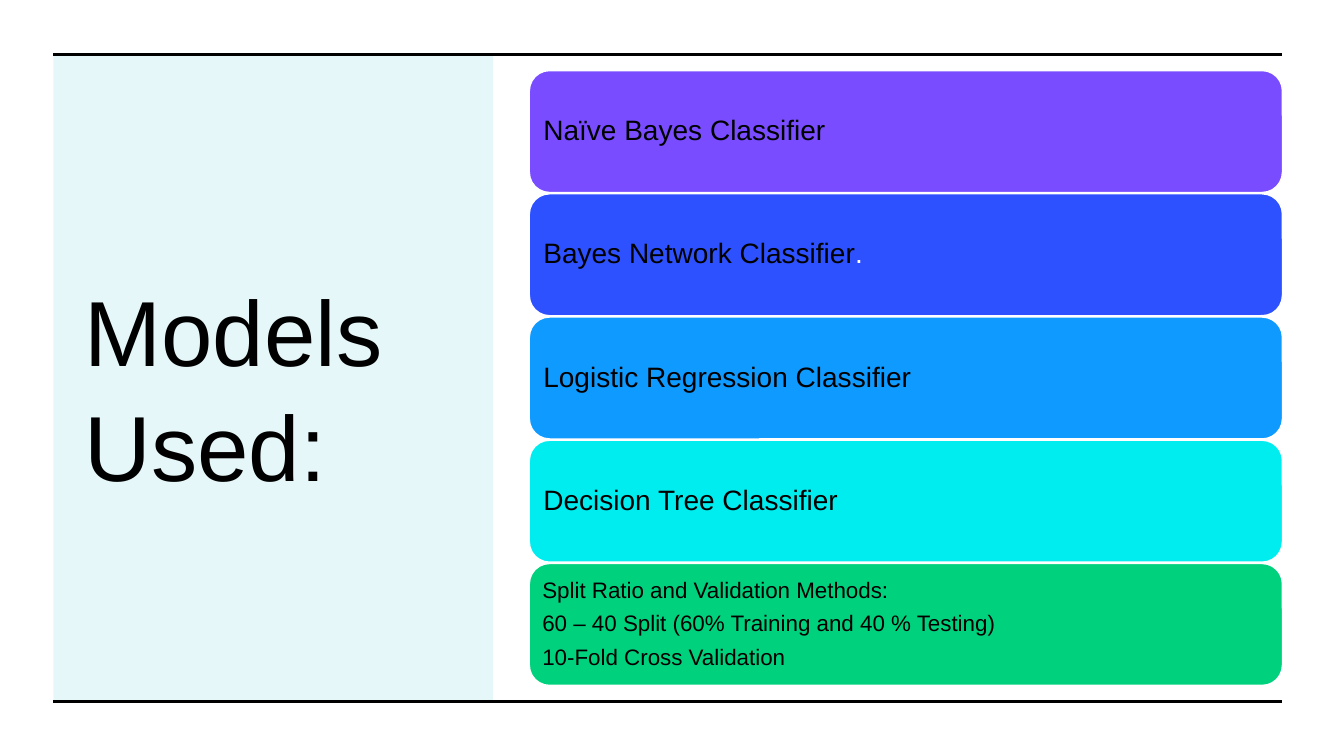
import pptx
import pptx.dml.color
import pptx.enum.shapes
import pptx.enum.text
import pptx.oxml
import pptx.oxml.ns
import pptx.util

COLORS = {
    "ink": "000000", "white": "FFFFFF", "panel": "00BAC8",
    "violet": "794DFF", "blue": "2E51FF", "sky": "0F9AFF",
    "cyan": "00EDF0", "green": "00D17D",
}
FONT = "Arial"
WIDTH, HEIGHT = 13.33, 7.5

# Page frame and card grid, in inches
LEFT, RIGHT, TOP, BOTTOM = 0.53, 12.72, 0.54, 6.96
PANEL_W = 4.36
CARD_X, CARD_Y, CARD_H, ROW_PITCH = 5.25, 0.7, 1.21, 1.2225

# Each card: fill, text size, inset, paragraphs made of (text, colour) runs
CARDS = [
    ("violet", 20, 0.08, [[("Naïve Bayes Classifier", "ink")]]),
    ("blue", 20, 0.08, [[("Bayes Network Classifier", "ink"), (".", "white")]]),
    ("sky", 20, 0.08, [[("Logistic Regression Classifier", "ink")]]),
    ("cyan", 20, 0.08, [[("Decision Tree Classifier", "ink")]]),
    ("green", 16, 0.07, [
        [("Split Ratio and Validation Methods:", "ink")],
        [("60 – 40 Split (60% Training and 40 % Testing)", "ink")],
        [("10-Fold Cross Validation", "ink")],
    ]),
]


def inches(*values):
    return [pptx.util.Inches(v) for v in values]


def rgb(name):
    return pptx.dml.color.RGBColor.from_string(COLORS[name])


def write(tf, paragraphs, size, inset=0.1, spacing=0.9, after=0):
    """Fill a text frame with left-aligned, vertically centred paragraphs."""
    tf.word_wrap = True
    tf.vertical_anchor = pptx.enum.text.MSO_ANCHOR.MIDDLE
    tf.margin_left = tf.margin_right = pptx.util.Inches(inset)
    tf.margin_top = tf.margin_bottom = pptx.util.Inches(inset)
    for i, runs in enumerate(paragraphs):
        p = tf.add_paragraph() if i else tf.paragraphs[0]
        p.alignment = pptx.enum.text.PP_ALIGN.LEFT
        p.line_spacing = spacing
        if i < len(paragraphs) - 1:
            p.space_after = pptx.util.Pt(after)
        for text, color in runs:
            # A line feed inside a run becomes a line break
            for j, line in enumerate(text.split("\n")):
                if j:
                    p.add_line_break()
                r = p.add_run()
                r.text = line
                r.font.name = FONT
                r.font.size = pptx.util.Pt(size)
                r.font.color.rgb = rgb(color)


def add_block(shapes, kind, box, fill, alpha=None, outline=None):
    sp = shapes.add_shape(kind, *inches(*box))
    sp.shadow.inherit = False
    sp.fill.solid()
    sp.fill.fore_color.rgb = rgb(fill)
    if alpha is not None:
        clr = sp.fill._xPr.find(".//" + pptx.oxml.ns.qn("a:srgbClr"))
        etree_alpha = pptx.oxml.parse_xml(
            f'<a:alpha {pptx.oxml.ns.nsdecls("a")} val="{alpha * 1000}"/>')
        clr.append(etree_alpha)
    if outline:
        sp.line.color.rgb = rgb(outline)
        sp.line.width = pptx.util.Pt(1)
    else:
        sp.line.fill.background()
    return sp


def add_rule(s, y):
    line = s.shapes.add_connector(
        pptx.enum.shapes.MSO_CONNECTOR.STRAIGHT, *inches(LEFT, y, RIGHT, y))
    line.line.color.rgb = rgb("ink")
    line.line.width = pptx.util.Pt(2.25)
    line._element.spPr.append(pptx.oxml.parse_xml(
        f'<a:effectLst {pptx.oxml.ns.nsdecls("a")}/>'))


def main():
    prs = pptx.Presentation()
    prs.slide_width, prs.slide_height = inches(WIDTH, HEIGHT)
    s = prs.slides.add_slide(prs.slide_layouts[6])
    kinds = pptx.enum.shapes.MSO_SHAPE

    # Tinted panel with the title
    add_block(s.shapes, kinds.RECTANGLE,
              (LEFT, TOP, PANEL_W, BOTTOM - TOP), "panel", alpha=10)
    title = s.shapes.add_textbox(*inches(0.74, 1.07, 3.89, 5.5))
    write(title.text_frame, [[("Models\nUsed:", "ink")]], 66, spacing=1.04)

    # Rules above and below
    for y in (TOP, BOTTOM):
        add_rule(s, y)

    # Stack of model cards
    stack = s.shapes.add_group_shape()
    for row, (fill, size, inset, paragraphs) in enumerate(CARDS):
        box = (CARD_X, CARD_Y + row * ROW_PITCH, RIGHT - CARD_X, CARD_H)
        sp = add_block(stack.shapes, kinds.ROUNDED_RECTANGLE, box, fill,
                       outline="white")
        write(sp.text_frame, paragraphs, size, inset=inset, after=6.7)

    prs.save("out.pptx")


if __name__ == "__main__":
    main()
